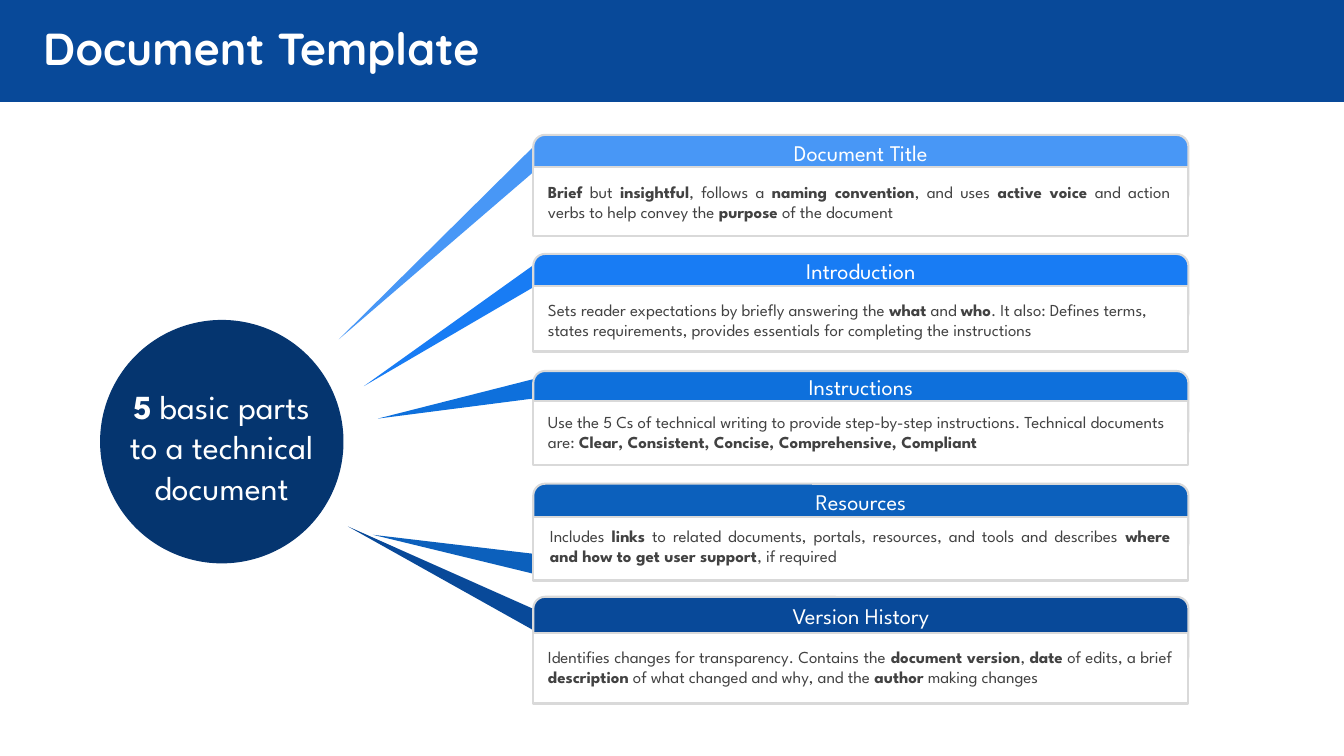
from dataclasses import dataclass

from pptx import Presentation
from pptx.dml.color import RGBColor
from pptx.enum.shapes import MSO_SHAPE
from pptx.enum.text import MSO_ANCHOR, PP_ALIGN
from pptx.shapes.autoshape import Shape
from pptx.shapes.shapetree import GroupShapes, SlideShapes
from pptx.util import Cm, Pt

COLOURS = {
    "band": "084999",
    "circle": "05356F",
    "circle edge": "063671",
    "card edge": "D9D9D9",
    "white": "FFFFFF",
    "body": "424242",
    "title part": "4897F6",
    "introduction": "187CF4",
    "instructions": "0E70DC",
    "resources": "0C60BC",
    "history": "084999",
}
TITLE_FONT = "Quicksand"
TEXT_FONT = "League Spartan"

CARD_LEFT, CARD_WIDTH = 13.44, 16.51
HEADER_HEIGHT, HEADING_HEIGHT, BODY_TEXT_HEIGHT = 1.78, 0.94, 1.27
SPIKE_WIDTH = 0.51


@dataclass(frozen=True)
class Area:
    """A rectangle in centimetres."""
    left: float
    top: float
    width: float
    height: float


@dataclass(frozen=True)
class TextStyle:
    size: float
    colour: str
    font: str = TEXT_FONT
    align: PP_ALIGN = PP_ALIGN.LEFT
    anchor: MSO_ANCHOR = MSO_ANCHOR.TOP
    line_spacing: float = 1.0


@dataclass(frozen=True)
class Spike:
    """A thin triangle, placed before it is turned by the angle."""
    left: float
    top: float
    length: float
    angle: float


@dataclass(frozen=True)
class Card:
    heading: str
    body: str
    colour: str
    top: float
    heading_top: float
    body_top: float
    body_height: float
    text: Area
    align: PP_ALIGN
    spike: Spike


CARDS = [
    Card("Document Title",
         "**Brief** but **insightful**, follows a **naming convention**, and uses "
         "**active voice** and action verbs to help convey the **purpose** of the document",
         "title part", 3.4, 3.38, 4.22, 1.73, Area(13.56, 4.45, 16.18, BODY_TEXT_HEIGHT),
         PP_ALIGN.JUSTIFY, Spike(10.95, 2.46, 7.26, 227.3)),
    Card("Introduction",
         "Sets reader expectations by briefly answering the **what** and **who**. It also: "
         "Defines terms, states requirements, provides essentials for completing the instructions",
         "introduction", 6.4, 6.35, 7.21, 1.65, Area(13.56, 7.42, 16.26, BODY_TEXT_HEIGHT),
         PP_ALIGN.LEFT, Spike(11.25, 5.44, 5.56, 237.1)),
    Card("Instructions",
         "Use the 5 Cs of technical writing to provide step-by-step instructions. Technical "
         "documents are: **Clear, Consistent, Concise, Comprehensive, Compliant**",
         "instructions", 9.35, 9.27, 10.11, 1.6, Area(13.56, 10.24, 16.18, BODY_TEXT_HEIGHT),
         PP_ALIGN.LEFT, Spike(11.35, 8.03, 4.24, 259.2)),
    Card("Resources",
         "Includes **links** to related documents, portals, resources, and tools and describes "
         "**where and how to get user support**, if required",
         "resources", 12.19, 12.17, 13.03, 1.6, Area(13.61, 13.13, 16.13, BODY_TEXT_HEIGHT),
         PP_ALIGN.JUSTIFY, Spike(11.23, 11.73, 4.24, 280.2)),
    Card("Version History",
         "Identifies changes for transparency. Contains the **document version**, **date** of "
         "edits, a brief **description** of what changed and why, and the **author** making changes",
         "history", 15.04, 15.06, 15.95, 1.78, Area(13.56, 16.18, 16.23, BODY_TEXT_HEIGHT),
         PP_ALIGN.JUSTIFY, Spike(11.0, 11.73, 5.56, 296.6)),
]


def colour_of(name: str) -> RGBColor:
    return RGBColor.from_string(COLOURS[name])


def add_block(shapes: SlideShapes | GroupShapes, kind: MSO_SHAPE, area: Area, fill: str,
              edge: str | None = None, edge_width: float = 1.5) -> Shape:
    block = shapes.add_shape(kind, Cm(area.left), Cm(area.top), Cm(area.width), Cm(area.height))
    block.shadow.inherit = False
    block.fill.solid()
    block.fill.fore_color.rgb = colour_of(fill)
    if edge:
        block.line.color.rgb = colour_of(edge)
        block.line.width = Pt(edge_width)
    else:
        block.line.fill.background()
    return block


def add_text(shapes: SlideShapes | GroupShapes, area: Area, text: str, style: TextStyle) -> None:
    """Write one paragraph; double asterisks switch bold on and off."""
    box = shapes.add_textbox(Cm(area.left), Cm(area.top), Cm(area.width), Cm(area.height))
    frame = box.text_frame
    frame.word_wrap = True
    frame.vertical_anchor = style.anchor
    para = frame.paragraphs[0]
    para.alignment = style.align
    para.line_spacing = style.line_spacing
    for index, piece in enumerate(text.split("**")):
        if piece:
            span = para.add_run()
            span.text = piece
            span.font.name = style.font
            span.font.size = Pt(style.size)
            span.font.bold = index % 2 == 1
            span.font.color.rgb = colour_of(style.colour)


def add_card(shapes: SlideShapes, card: Card) -> None:
    parts = shapes.add_group_shape().shapes
    spike = add_block(parts, MSO_SHAPE.ISOSCELES_TRIANGLE,
                      Area(card.spike.left, card.spike.top, SPIKE_WIDTH, card.spike.length),
                      card.colour)
    spike.rotation = card.spike.angle
    add_block(parts, MSO_SHAPE.ROUNDED_RECTANGLE,
              Area(CARD_LEFT, card.top, CARD_WIDTH, HEADER_HEIGHT), card.colour, "card edge")
    add_block(parts, MSO_SHAPE.RECTANGLE,
              Area(CARD_LEFT, card.body_top, CARD_WIDTH, card.body_height), "white", "card edge")
    add_text(parts, Area(CARD_LEFT, card.heading_top, CARD_WIDTH, HEADING_HEIGHT),
             card.heading, TextStyle(16, "white", align=PP_ALIGN.CENTER))
    add_text(parts, card.text, card.body, TextStyle(12, "body", align=card.align))


def add_title_band(shapes: SlideShapes, width: float) -> None:
    add_block(shapes, MSO_SHAPE.RECTANGLE, Area(0, 0, width, 2.57), "band")
    add_text(shapes, Area(0.84, 0, 30.12, 2.57), "**Document Template**",
             TextStyle(32, "white", TITLE_FONT, anchor=MSO_ANCHOR.MIDDLE, line_spacing=0.9))


def add_hub(shapes: SlideShapes) -> None:
    """Add the circle that the spikes point to."""
    parts = shapes.add_group_shape().shapes
    add_block(parts, MSO_SHAPE.FLOWCHART_CONNECTOR, Area(2.54, 8.08, 6.1, 6.1),
              "circle", "circle edge", 1)
    add_text(parts, Area(2.79, 9.6, 5.59, 3.33), "**5** basic parts to a technical document",
             TextStyle(24, "white", align=PP_ALIGN.CENTER))


def main() -> None:
    deck = Presentation()
    deck.slide_width, deck.slide_height = Cm(33.87), Cm(19.05)
    page = deck.slides.add_slide(deck.slide_layouts[6])
    add_title_band(page.shapes, 33.87)
    for card in CARDS:
        add_card(page.shapes, card)
    add_hub(page.shapes)
    deck.save("out.pptx")


if __name__ == "__main__":
    main()
